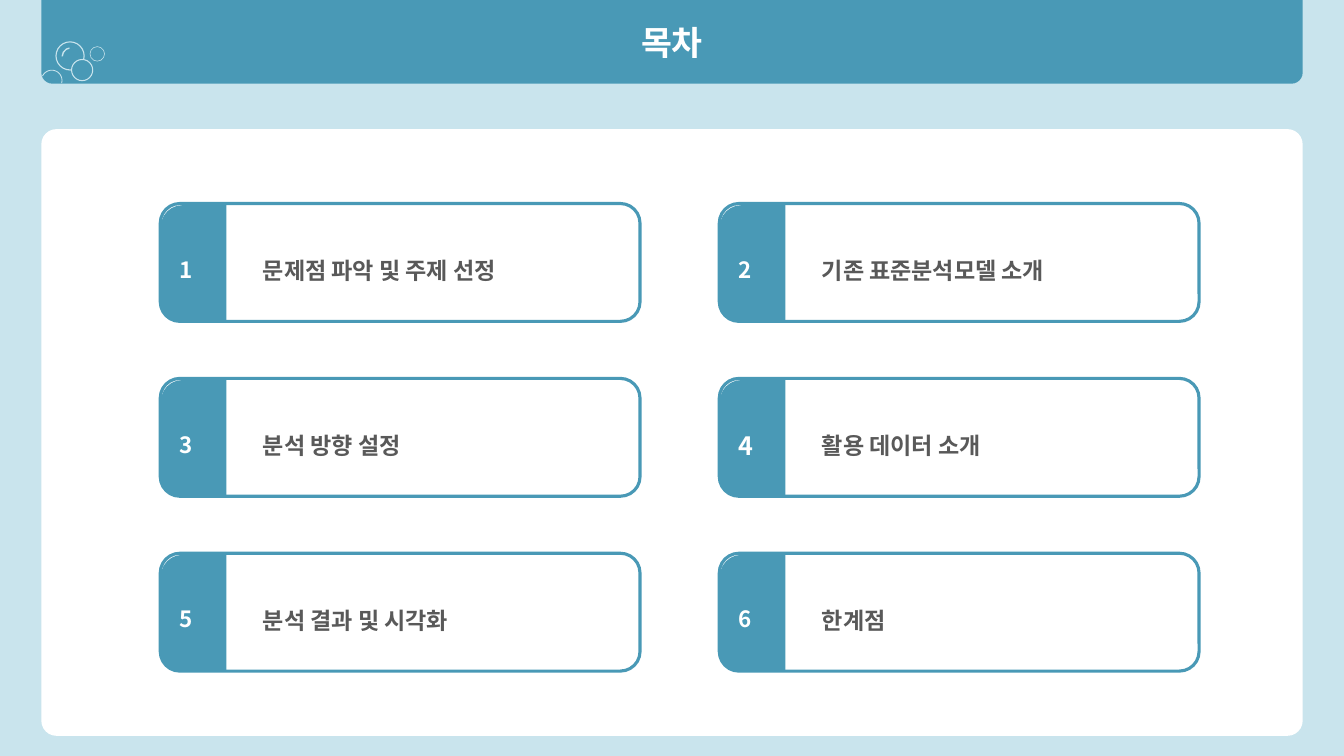
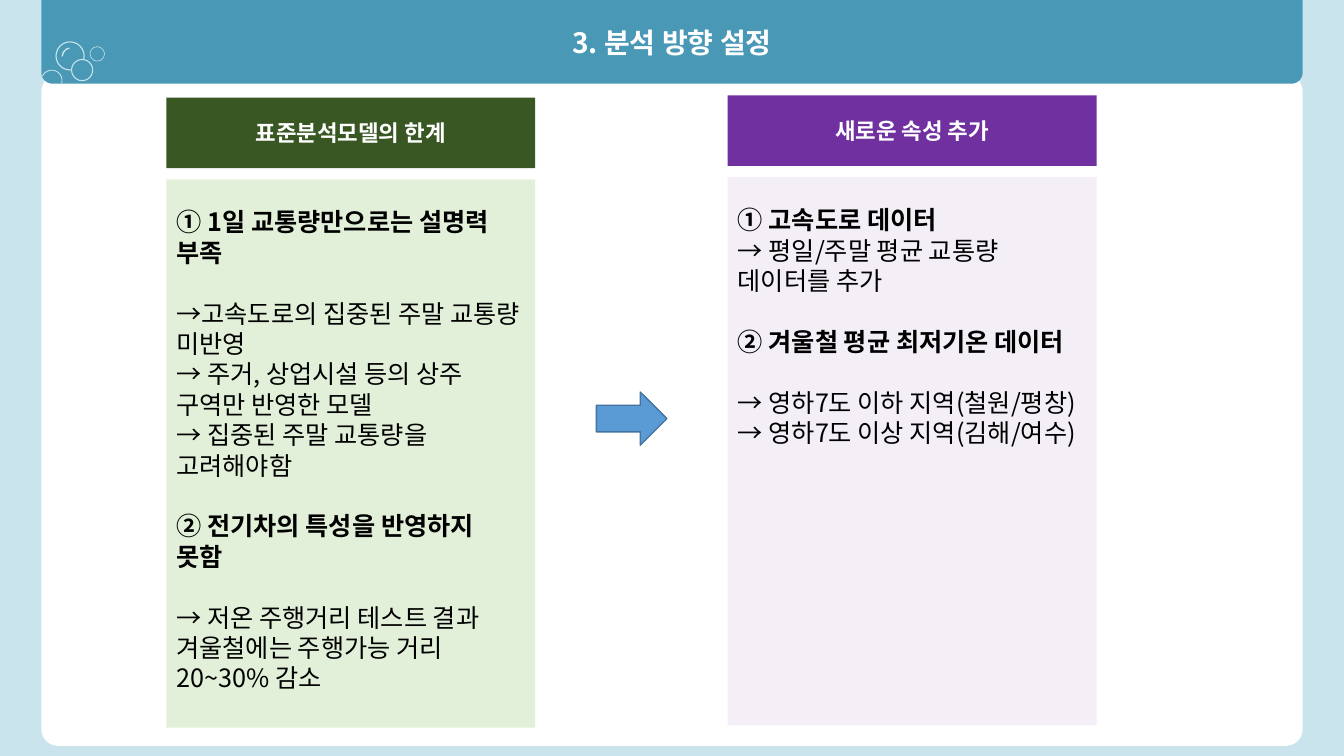
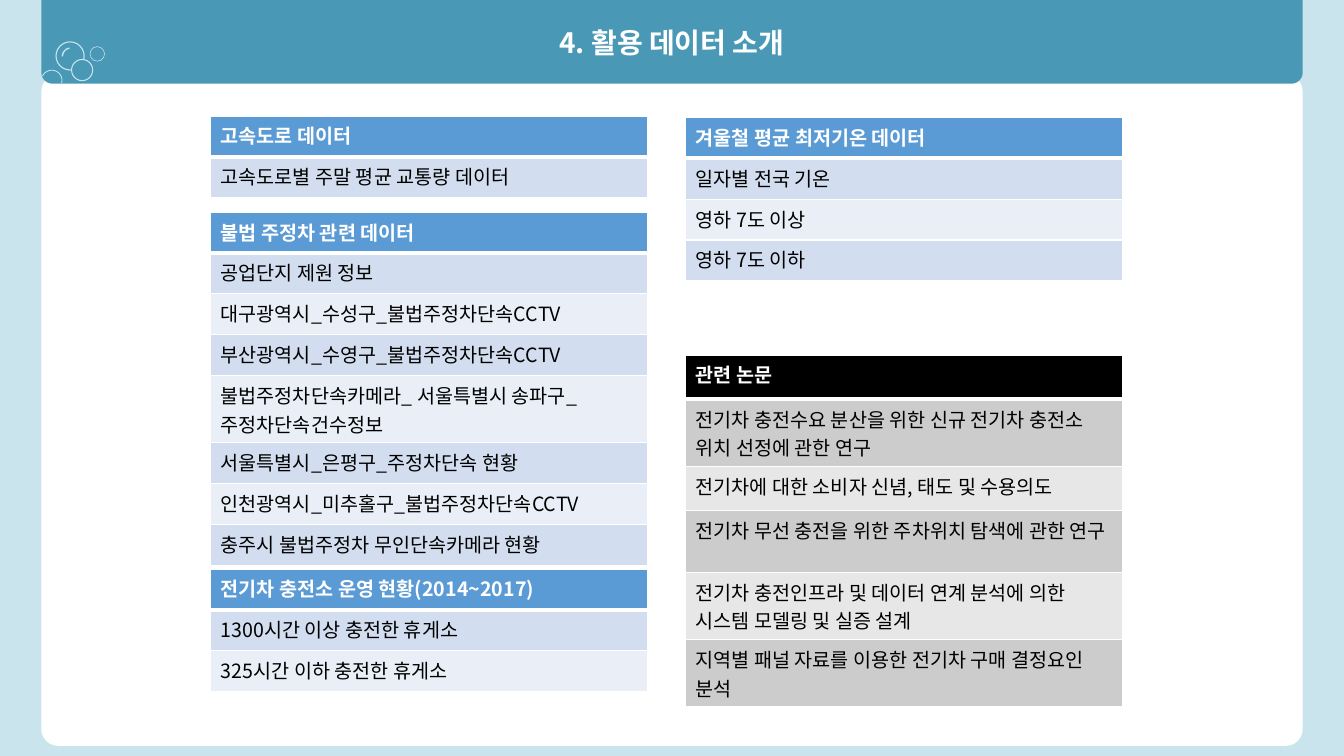
from math import cos, radians, sin

from pptx import Presentation
from pptx.dml.color import RGBColor as RGB
from pptx.enum.shapes import MSO_SHAPE as SHAPE
from pptx.enum.text import MSO_ANCHOR as ANCHOR
from pptx.enum.text import MSO_AUTO_SIZE as AUTO
from pptx.enum.text import PP_ALIGN as ALIGN
from pptx.oxml.ns import qn
from pptx.util import Pt

# Shared look
FONT = "Noto Sans CJK KR"
COLORS = {
    "sky": "C9E4ED", "teal": "4999B6", "white": "FFFFFF", "black": "000000",
    "gray": "595959", "blue": "5B9BD5", "blue_edge": "43739E",
    "green": "385723", "green_pale": "E2F0D9",
    "purple": "7030A0", "purple_pale": "F4EEF6",
    "row_blue": "D2DEEF", "row_blue_pale": "EAEFF7",
    "row_gray": "CCCCCC", "row_gray_pale": "E7E7E7",
}
FORMATS = {
    "cover": {"size": Pt(24), "bold": True, "color": "white"},
    "title": {"size": Pt(20), "bold": True, "color": "white"},
    "item": {"size": Pt(16.5), "bold": True, "color": "gray"},
    "number": {"size": Pt(16), "bold": True, "color": "white"},
    "big_number": {"size": Pt(18), "bold": True, "color": "white"},
    "panel_head": {"size": Pt(16), "bold": True, "color": "white"},
    "point": {"size": Pt(18), "bold": True, "color": "black"},
    "detail": {"size": Pt(18), "bold": False, "color": "black"},
    "th": {"size": Pt(14), "bold": True, "color": "white"},
    "td": {"size": Pt(14), "bold": False, "color": "black"},
}
TABLE_FILLS = {
    "blue": ("blue", "row_blue", "row_blue_pale"),
    "black": ("black", "row_gray", "row_gray_pale"),
}
BAND = (29.5, 0, 901, 59.8)
LINE = Pt(21.7)

# Contents
AGENDA = ["문제점 파악 및 주제 선정", "기존 표준분석모델 소개", "분석 방향 설정",
          "활용 데이터 소개", "분석 결과 및 시각화", "한계점"]

# Each panel line: format, gap above, text
PANELS = [
    (118.8, 69.8, "green", "표준분석모델의 한계", [
        ("point", False, "① 1일 교통량만으로는 설명력 부족"),
        ("detail", True, "→고속도로의 집중된 주말 교통량 미반영"),
        ("detail", False, "→ 주거, 상업시설 등의 상주 구역만 반영한 모델"),
        ("detail", False, "→ 집중된 주말 교통량을 고려해야함"),
        ("point", True, "② 전기차의 특성을 반영하지 못함"),
        ("detail", True, "→ 저온 주행거리 테스트 결과"),
        ("detail", False, "겨울철에는 주행가능 거리 20~30% 감소"),
    ]),
    (519.8, 68.2, "purple", "새로운 속성 추가", [
        ("point", False, "① 고속도로 데이터"),
        ("detail", False, "→ 평일/주말 평균 교통량 데이터를 추가"),
        ("point", True, "② 겨울철 평균 최저기온 데이터"),
        ("detail", True, "→ 영하7도 이하 지역(철원/평창)"),
        ("detail", False, "→ 영하7도 이상 지역(김해/여수)"),
    ]),
]

# Each table: left, top, fills, row heights, texts
ROW = 29.2
TABLES = [
    (150.5, 406.4, "blue", [ROW] * 3, [
        "전기차 충전소 운영 현황(2014~2017)",
        "1300시간 이상 충전한 휴게소",
        "325시간 이하 충전한 휴게소"]),
    (150.5, 82.8, "blue", [ROW] * 2, [
        "고속도로 데이터",
        "고속도로별 주말 평균 교통량 데이터"]),
    (489.8, 83.9, "blue", [ROW] * 4, [
        "겨울철 평균 최저기온 데이터",
        "일자별 전국 기온",
        "영하 7도 이상",
        "영하 7도 이하"]),
    (150.5, 151.5, "blue", [ROW] * 8, [
        "불법 주정차 관련 데이터",
        "공업단지 제원 정보",
        "대구광역시_수성구_불법주정차단속CCTV",
        "부산광역시_수영구_불법주정차단속CCTV",
        "불법주정차단속카메라_ 서울특별시 송파구_주정차단속건수정보",
        "서울특별시_은평구_주정차단속 현황",
        "인천광역시_미추홀구_불법주정차단속CCTV",
        "충주시 불법주정차 무인단속카메라 현황"]),
    (489.8, 253.6, "black", [31.6, 44, 31.6, 44, 44, 44], [
        "관련 논문",
        "전기차 충전수요 분산을 위한 신규 전기차 충전소 위치 선정에 관한 연구",
        "전기차에 대한 소비자 신념, 태도 및 수용의도",
        "전기차 무선 충전을 위한 주차위치 탐색에 관한 연구",
        "전기차 충전인프라 및 데이터 연계 분석에 의한 시스템 모델링 및 실증 설계",
        "지역별 패널 자료를 이용한 전기차 구매 결정요인 분석"]),
]


# Basic elements
def color(name):
    return RGB.from_string(COLORS[name])


def write(p, text, fmt):
    r = p.add_run()
    r.text = text
    r.font.name = FONT
    for key, value in FORMATS[fmt].items():
        if key == "color":
            r.font.color.rgb = color(value)
        else:
            setattr(r.font, key, value)
    rPr = r._r.get_or_add_rPr()
    rPr.append(rPr.makeelement(qn("a:ea"), {"typeface": FONT}))


def paint(sp, fill, line=None, width=1):
    sp.shadow.inherit = False
    sp.fill.solid()
    sp.fill.fore_color.rgb = color(fill)
    if line:
        sp.line.color.rgb = color(line)
        sp.line.width = Pt(width)
    else:
        sp.line.fill.background()


def add_shape(shapes, kind, box, fill, line=None, width=1, adj=()):
    sp = shapes.add_shape(kind, *map(Pt, box))
    for i, value in enumerate(adj):
        sp.adjustments[i] = value
    paint(sp, fill, line, width)
    return sp


def add_text(s, box, text, fmt, spacing=1.0):
    tf = s.shapes.add_textbox(*map(Pt, box)).text_frame
    tf.word_wrap = True
    p = tf.paragraphs[0]
    p.line_spacing = spacing
    write(p, text, fmt)


def place(sp, box, anchor):
    """Move a placeholder to a box, in front of the shapes drawn so far."""
    for key, value in zip(("left", "top", "width", "height"), box):
        setattr(sp, key, Pt(value))
    tree = sp._element.getparent()
    tree.append(sp._element)
    tf = sp.text_frame
    tf.auto_size = AUTO.NONE
    tf.word_wrap = True
    tf.vertical_anchor = anchor
    return tf


# Shared slide frame
def add_bubbles(shapes):
    add_shape(shapes, SHAPE.DONUT, (39.6, 29.5, 20.9, 20.9), "sky", adj=(0.038,))
    add_shape(shapes, SHAPE.BLOCK_ARC, (43.9, 33.8, 13, 13), "sky",
              adj=(108, 157.41, 0.08))
    add_shape(shapes, SHAPE.OVAL, (51.1, 42.5, 15.1, 15.1), "teal", "sky", 0.75)
    add_shape(shapes, SHAPE.DONUT, (64.1, 33.1, 10.8, 10.8), "sky", adj=(0.038,))
    # Bubble cut off by the corner of the band
    angles = range(-15, 156, 5)
    rim = [(7.6, a) for a in angles] + [(7, a) for a in reversed(angles)]
    points = [(Pt(37 + r * cos(radians(a))), Pt(57.5 - r * sin(radians(a))))
              for r, a in rim]
    ff = shapes.build_freeform(*points[0])
    ff.add_line_segments(points[1:], close=True)
    paint(ff.convert_to_shape(), "sky")


def add_slide(prs, layout, title, fmt="title", card=(53.3, 479.5)):
    s = prs.slides.add_slide(prs.slide_layouts[layout])
    top, height = card
    add_shape(s.shapes, SHAPE.ROUNDED_RECTANGLE, (BAND[0], top, BAND[2], height),
              "white", adj=(0.025,))
    header = s.shapes.add_group_shape().shapes
    add_shape(header, SHAPE.ROUND_2_SAME_RECTANGLE, BAND, "teal", adj=(0, 0.134))
    add_bubbles(header)
    p = place(s.shapes.title, BAND, ANCHOR.MIDDLE).paragraphs[0]
    p.alignment = ALIGN.CENTER
    write(p, title, fmt)
    return s


# Slide elements
def add_agenda_item(s, i, text):
    row, col = divmod(i, 2)
    x, y = 114.5 + col * 399.3, 145.4 + row * 124.9
    add_shape(s.shapes, SHAPE.ROUNDED_RECTANGLE, (x, y, 342.7, 84.2),
              "white", "teal", 2.25)
    tab = add_shape(s.shapes, SHAPE.ROUND_2_SAME_RECTANGLE,
                    (x - 18, y + 19.5, 83.5, 46.8), "teal", adj=(0.328, 0))
    tab.rotation = 270
    add_text(s, (x + 66.2, y + 24.5, 257.8, 37.4), text, "item", 1.5)
    add_text(s, (x + 6.5, y + 33.8, 25.2, 28), str(i + 1),
             "big_number" if i == 3 else "number")


def add_panel(s, body, x, y, hue, head, lines):
    width = 263.5
    add_shape(s.shapes, SHAPE.RECTANGLE, (x, y + 58.3, width, 391.7), hue + "_pale")
    sp = add_shape(s.shapes, SHAPE.RECTANGLE, (x, y, width, 50.4), hue)
    sp.text_frame.vertical_anchor = ANCHOR.MIDDLE
    sp.text_frame.paragraphs[0].alignment = ALIGN.CENTER
    write(sp.text_frame.paragraphs[0], head, "panel_head")
    tf = place(body, (x, y + 74.2, width, 375.8), ANCHOR.TOP)
    for i, (fmt, gap, text) in enumerate(lines):
        p = tf.add_paragraph() if i else tf.paragraphs[0]
        pPr = p._p.get_or_add_pPr()
        pPr.set("marL", "0")
        pPr.set("indent", "0")
        pPr.append(pPr.makeelement(qn("a:buNone"), {}))
        p.line_spacing = LINE
        p.space_before = LINE if gap else Pt(0)
        write(p, text, fmt)


def set_borders(cell, top, bottom):
    tcPr = cell._tc.get_or_add_tcPr()
    for side, width in (("L", 1), ("R", 1), ("T", top), ("B", bottom)):
        ln = tcPr.makeelement(qn("a:ln" + side), {"w": str(Pt(width))})
        fill = ln.makeelement(qn("a:solidFill"), {})
        fill.append(fill.makeelement(qn("a:srgbClr"), {"val": COLORS["white"]}))
        ln.append(fill)
        tcPr.append(ln)


def add_list_table(s, x, y, scheme, heights, texts):
    head, odd, even = TABLE_FILLS[scheme]
    table = s.shapes.add_table(len(texts), 1, Pt(x), Pt(y), Pt(311.8),
                               Pt(sum(heights))).table
    table.horz_banding = False
    for i, (height, text) in enumerate(zip(heights, texts)):
        table.rows[i].height = Pt(height)
        cell = table.cell(i, 0)
        set_borders(cell, 3 if i == 1 else 1, 3 if i == 0 else 1)
        cell.fill.solid()
        cell.fill.fore_color.rgb = color(head if i == 0 else odd if i % 2 else even)
        write(cell.text_frame.paragraphs[0], text, "td" if i else "th")


def main():
    prs = Presentation()
    prs.slide_width, prs.slide_height = Pt(960), Pt(540)
    bg = prs.slide_master.background.fill
    bg.solid()
    bg.fore_color.rgb = color("sky")

    # Agenda
    s = add_slide(prs, 5, "목차", "cover", (92.2, 433.4))
    for i, text in enumerate(AGENDA):
        add_agenda_item(s, i, text)

    # Direction of the analysis
    s = add_slide(prs, 3, "3. 분석 방향 설정")
    bodies = [s.placeholders[1], s.placeholders[2]]
    for body, panel in zip(bodies, PANELS):
        add_panel(s, body, *panel)
    add_shape(s.shapes, SHAPE.RIGHT_ARROW, (426, 280, 50.4, 38),
              "blue", "blue_edge")

    # Data used
    s = add_slide(prs, 5, "4. 활용 데이터 소개")
    for table in TABLES:
        add_list_table(s, *table)

    prs.save("out.pptx")


if __name__ == "__main__":
    main()
